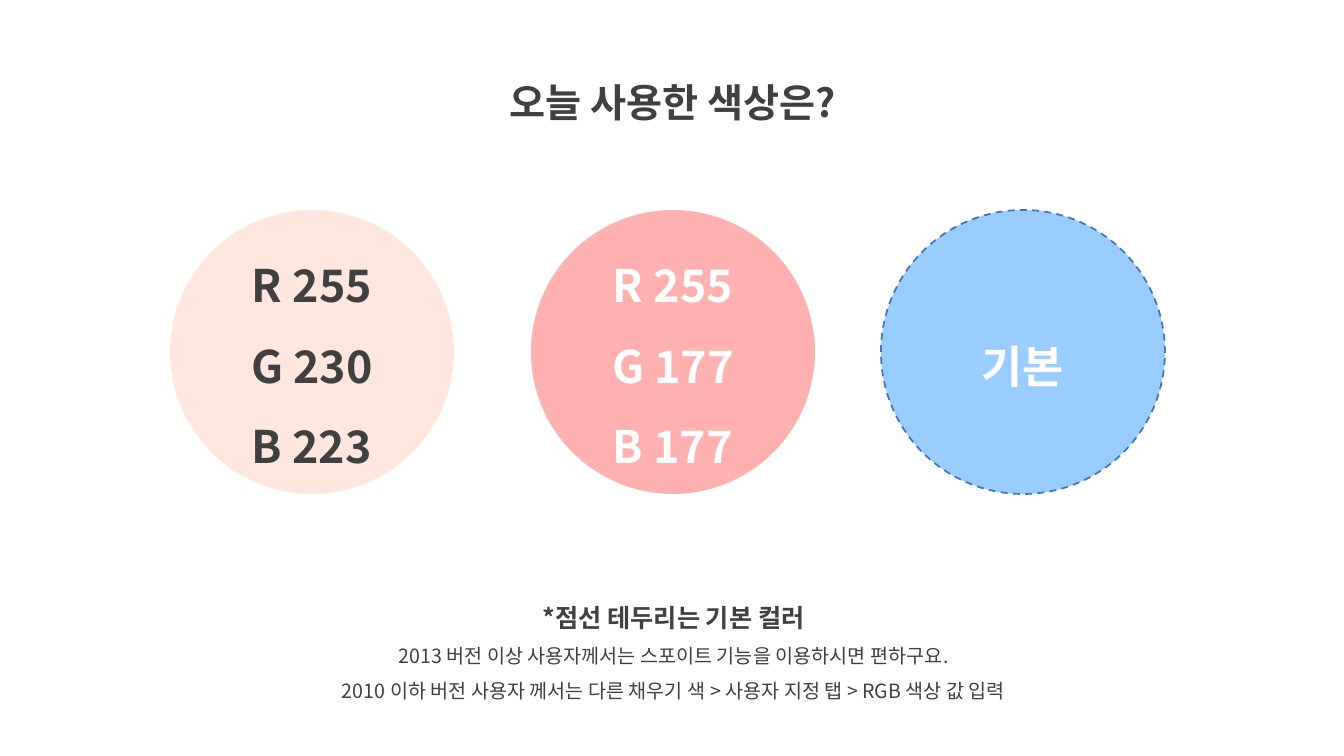
import pptx
import pptx.dml.color
import pptx.enum.dml
import pptx.enum.shapes
import pptx.enum.text
import pptx.oxml.ns
import pptx.util
import lxml.etree

PX = 914400 / 100.8
FONT = "Noto Sans CJK KR"
DARK, WHITE = "404040", "FFFFFF"


def color(value):
    return pptx.dml.color.RGBColor.from_string(value)


def add_line(frame, text, size=32, fill=DARK, bold=True):
    """Write text as the next centred paragraph of a text frame."""
    para = frame.paragraphs[0]
    if para.runs:
        para = frame.add_paragraph()
    para.alignment = pptx.enum.text.PP_ALIGN.CENTER
    para.line_spacing = 1.5
    span = para.add_run()
    span.text = text
    span.font.size = pptx.util.Pt(size)
    span.font.bold = bold
    span.font.color.rgb = color(fill)
    span.font.name = FONT
    # Hangul takes the East Asian typeface
    east = lxml.etree.SubElement(span.font._element, pptx.oxml.ns.qn("a:ea"))
    east.set("typeface", FONT)


deck = pptx.Presentation()
deck.slide_width, deck.slide_height = round(1344 * PX), round(756 * PX)
page = deck.slides.add_slide(deck.slide_layouts[6])

# Title and closing notes
text_boxes = [
    ((439, 50, 467, 73), [("오늘 사용한 색상은?", 28, True)]),
    ((271, 582, 805, 127), [
        ("*점선 테두리는 기본 컬러", 18, True),
        ("2013 버전 이상 사용자께서는 스포이트 기능을 이용하시면 편하구요.", 14, False),
        ("2010 이하 버전 사용자 께서는 다른 채우기 색 > 사용자 지정 탭 > RGB 색상 값 입력", 14, False),
    ]),
]
for place, lines in text_boxes:
    box = page.shapes.add_textbox(*[round(length * PX) for length in place])
    box.text_frame.word_wrap = True
    box.text_frame.auto_size = pptx.enum.text.MSO_AUTO_SIZE.SHAPE_TO_FIT_TEXT
    for text, size, bold in lines:
        add_line(box.text_frame, text, size=size, bold=bold)

# Colour circles
circles = [
    (170, "FFE6DF", DARK, None, ["R 255", "G 230", "B 223"]),
    (531, "FFB1B1", WHITE, None, ["R 255", "G 177", "B 177"]),
    (881, "99CCFF", WHITE, "4472C4", ["기본"]),
]
for left, fill, text_fill, outline, lines in circles:
    circle = page.shapes.add_shape(
        pptx.enum.shapes.MSO_SHAPE.OVAL,
        *[round(length * PX) for length in (left, 210, 284, 284)])
    circle.shadow.inherit = False
    circle.fill.solid()
    circle.fill.fore_color.rgb = color(fill)
    if outline:
        circle.line.color.rgb = color(outline)
        circle.line.width = pptx.util.Pt(1.25)
        circle.line.dash_style = pptx.enum.dml.MSO_LINE.DASH
    else:
        circle.line.fill.background()
    circle.text_frame.vertical_anchor = pptx.enum.text.MSO_ANCHOR.MIDDLE
    for text in lines:
        add_line(circle.text_frame, text, fill=text_fill)

deck.save("out.pptx")
